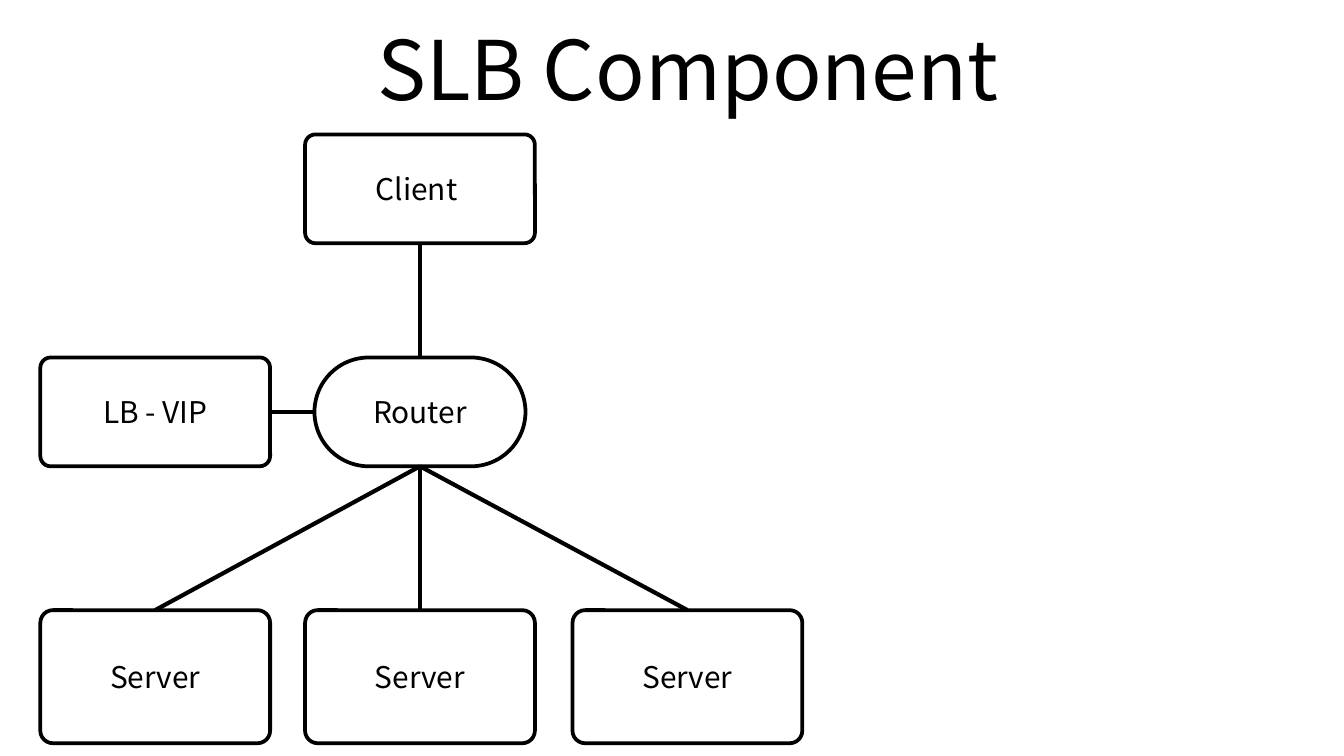
from lxml.etree import SubElement
from pptx import Presentation
from pptx.dml.color import RGBColor
from pptx.enum.shapes import MSO_CONNECTOR as Connector, MSO_SHAPE as Shape
from pptx.enum.text import MSO_ANCHOR as Anchor, PP_ALIGN as Align
from pptx.oxml.ns import qn
from pptx.util import Inches, Pt
from dataclasses import dataclass


@dataclass(frozen=True)
class Theme:
    font: str = "Noto Sans CJK KR"
    ink: RGBColor = RGBColor(0, 0, 0)
    paper: RGBColor = RGBColor(255, 255, 255)
    title_size: int = 44
    label_size: int = 16
    outline: float = 2
    link: float = 2.25


THEME = Theme()

# Content: name -> (label, column, row, style)
TITLE = "SLB Component"
NODES = {
    "client": ("Client ", 1, 0, "box"),
    "router": ("Router", 1, 1, "pill"),
    "vip": ("LB - VIP", 0, 1, "box"),
    "server 1": ("Server", 0, 2, "box"),
    "server 2": ("Server", 1, 2, "box"),
    "server 3": ("Server", 2, 2, "box"),
}
TOP, LEFT, BOTTOM, RIGHT = range(4)
LINKS = [
    ("client", BOTTOM, "router", TOP),
    ("router", BOTTOM, "server 1", TOP),
    ("router", BOTTOM, "server 2", TOP),
    ("router", BOTTOM, "server 3", TOP),
    ("vip", RIGHT, "router", LEFT),
]

# Grid in inches: column lefts, rows as (top, height), styles as (width, rounding)
COLUMNS = (0.3, 2.27, 4.26)
COLUMN_WIDTH = 1.71
ROWS = ((1, 0.81), (2.66, 0.81), (4.54, 0.99))
STYLES = {"box": (COLUMN_WIDTH, 0.095), "pill": (1.57, 0.5)}


def write(shape, text, size):
    frame = shape.text_frame
    frame.word_wrap = True
    frame.vertical_anchor = Anchor.MIDDLE
    paragraph = frame.paragraphs[0]
    paragraph.text = text
    paragraph.alignment = Align.CENTER
    paragraph.font.name = THEME.font
    paragraph.font.size = Pt(size)
    paragraph.font.color.rgb = THEME.ink


def add_node(slide, label, column, row, style):
    width, rounding = STYLES[style]
    left = COLUMNS[column] + (COLUMN_WIDTH - width) / 2
    top, height = ROWS[row]
    shape = slide.shapes.add_shape(
        Shape.ROUNDED_RECTANGLE, Inches(left), Inches(top), Inches(width), Inches(height))
    shape.adjustments[0] = rounding
    shape.shadow.inherit = False
    shape.fill.solid()
    shape.fill.fore_color.rgb = THEME.paper
    shape.line.color.rgb = THEME.ink
    shape.line.width = Pt(THEME.outline)
    write(shape, label, THEME.label_size)
    return shape


def add_link(slide, start, start_side, end, end_side):
    link = slide.shapes.add_connector(Connector.STRAIGHT, 0, 0, 0, 0)
    link.begin_connect(start, start_side)
    link.end_connect(end, end_side)
    link.line.color.rgb = THEME.ink
    link.line.width = Pt(THEME.link)
    SubElement(link._element.spPr, qn("a:effectLst"))


# A 16:9 slide
presentation = Presentation()
presentation.slide_width = Inches(10)
presentation.slide_height = Inches(10 * 9 / 16)
slide = presentation.slides.add_slide(presentation.slide_layouts[6])

# Title
title = slide.shapes.add_textbox(Inches(0.62), Inches(0.03), Inches(9), Inches(0.94))
write(title, TITLE, THEME.title_size)

# Nodes and the links between them
shapes = {name: add_node(slide, *node) for name, node in NODES.items()}
for start, start_side, end, end_side in LINKS:
    add_link(slide, shapes[start], start_side, shapes[end], end_side)

presentation.save("out.pptx")
